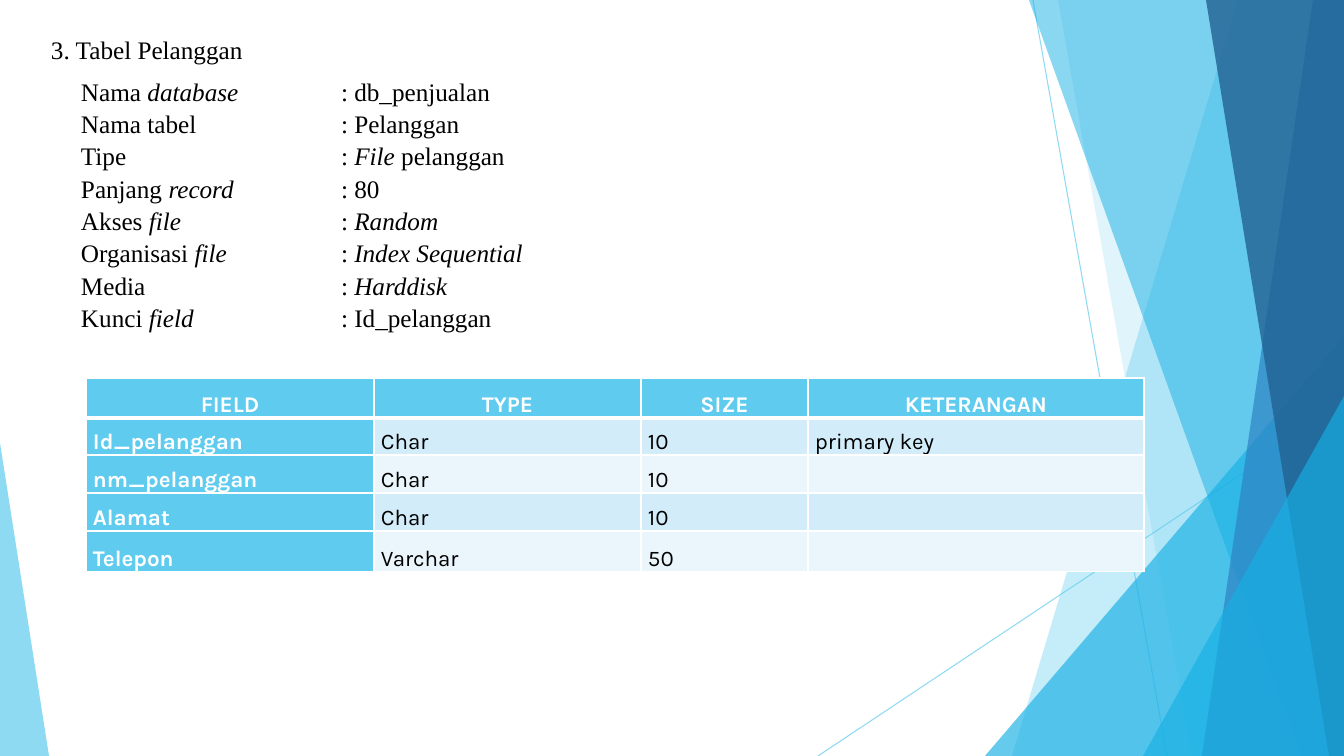
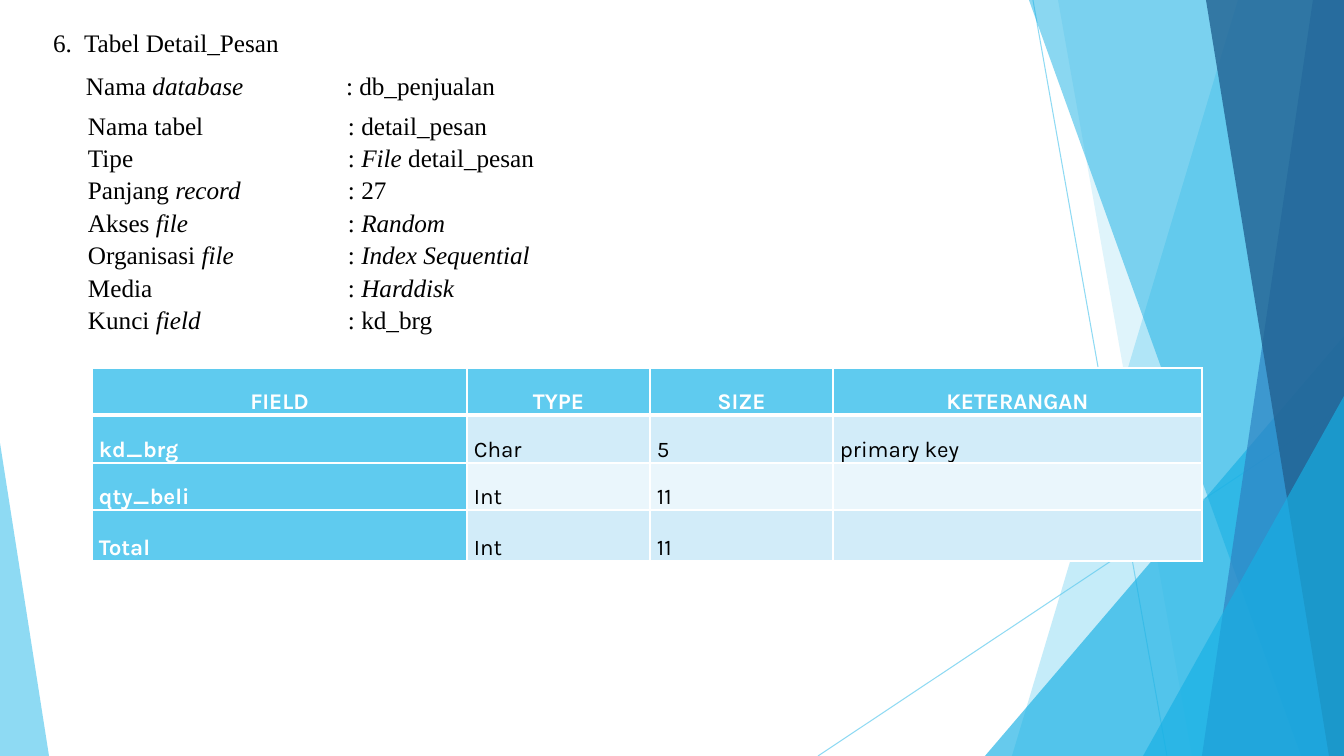
from lxml import etree
from pptx import Presentation
from pptx import util as u
from pptx.dml.color import RGBColor
from pptx.enum import shapes, text
from pptx.oxml.ns import qn

WIDTH, HEIGHT = 1344, 756
SCALE = u.Inches(7.5) / HEIGHT
SKY, CYAN, BLUE, NAVY = "5FCBEF", "17B0E4", "2E83C3", "226292"
BLACK, WHITE = "000000", "FFFFFF"
BANDS = ("D2ECF9", "EAF6FC")
HEADINGS = ("FIELD", "TYPE", "SIZE", "KETERANGAN")
COLON_TAB = 260
SERIF = {"font": "Times New Roman", "size": 18, "spacing": u.Pt(23.1)}
SANS = {"font": "Karla", "size": 16, "spacing": 1.07}


def px(length):
    return u.Emu(round(length * SCALE))


def box_of(*lengths):
    return [px(length) for length in lengths]


def colour(value):
    return RGBColor.from_string(value)


def add_child(parent, tag, **attributes):
    child = etree.SubElement(parent, qn(tag))
    for name, value in attributes.items():
        child.set(name, str(value))
    return child


def set_opacity(element, percent):
    for tint in element.iter(qn("a:srgbClr")):
        add_child(tint, "a:alpha", val=percent * 1000)


def write_text(para, content, font, size, spacing, ink=BLACK, bold=False,
               align=text.PP_ALIGN.LEFT, tab=None):
    para.alignment = align
    para.line_spacing = spacing
    if tab:
        stops = add_child(para._p.get_or_add_pPr(), "a:tabLst")
        add_child(stops, "a:tab", pos=px(tab), algn="l")
    for index, part in enumerate(content.split("*")):
        if part:
            span = para.add_run()
            span.text = part
            span.font.name = font
            span.font.size = u.Pt(size)
            span.font.bold = bold
            span.font.italic = index % 2 == 1
            span.font.color.rgb = colour(ink)


def prepare_frame(frame):
    frame.word_wrap = True
    frame.auto_size = text.MSO_AUTO_SIZE.NONE
    frame.vertical_anchor = text.MSO_ANCHOR.TOP
    frame.margin_left = frame.margin_right = 0
    frame.margin_top = frame.margin_bottom = 0


def paint(shape, fill, opacity):
    shape.shadow.inherit = False
    shape.fill.solid()
    shape.fill.fore_color.rgb = colour(fill)
    shape.line.fill.background()
    set_opacity(shape.element.spPr, opacity)


def draw_ray(group, start, end):
    ray = group.shapes.add_connector(shapes.MSO_CONNECTOR.STRAIGHT, *box_of(*start, *end))
    ray.line.color.rgb = colour(SKY)
    ray.line.width = u.Pt(0.75)
    set_opacity(ray.element.spPr, 70)
    add_child(ray.element.spPr, "a:effectLst")


def draw_band(group, top, bottom, fill, opacity):
    outline = group.shapes.build_freeform(top, 0, scale=SCALE)
    outline.add_line_segments([(WIDTH, 0), (WIDTH, HEIGHT), (bottom, HEIGHT)], close=True)
    paint(outline.convert_to_shape(), fill, opacity)


def draw_corner(group, left, top, width, apex, fill, opacity):
    corner = group.shapes.add_shape(
        shapes.MSO_SHAPE.ISOSCELES_TRIANGLE, *box_of(left, top, width, HEIGHT - top))
    corner.adjustments[0] = apex
    paint(corner, fill, opacity)


def build_backdrop(page, layout):
    group = page.shapes.add_group_shape()
    draw_ray(group, (1033, 0), (1167, HEIGHT))
    draw_ray(group, (WIDTH, 406), (818, HEIGHT))
    draw_band(group, 1238, 1012, SKY, 36)
    draw_band(group, 1058, 1192, SKY, 20)
    draw_corner(group, 985, 336, 359, 1, CYAN, 66)
    draw_band(group, 1029, 1301, CYAN, 50)
    draw_band(group, 1313, 1202, BLUE, 70)
    draw_band(group, 1206, 1329, NAVY, 80)
    draw_corner(group, 1143, 396, 201, 1, CYAN, 66)
    draw_corner(group, 0, 443, 49, 0, SKY, 70)
    for number, properties in enumerate(group.element.iter(qn("p:cNvPr")), 100):
        properties.set("id", str(number))
    layout.shapes.element.insert(2, group.element)


def place_title(page, content, left, top):
    title = page.shapes.title
    title.left, title.top, title.width, title.height = box_of(left, top, 652, 33)
    prepare_frame(title.text_frame)
    write_text(title.text_frame.paragraphs[0], content, **SERIF)


def place_facts(page, facts, left, top):
    box = page.shapes.add_textbox(*box_of(left, top, 582, 33 * len(facts)))
    prepare_frame(box.text_frame)
    for index, (label, value) in enumerate(facts):
        para = box.text_frame.add_paragraph() if index else box.text_frame.paragraphs[0]
        write_text(para, f"{label}\t: {value}", tab=COLON_TAB, **SERIF)


def set_borders(cell, top, bottom):
    properties = cell._tc.get_or_add_tcPr()
    for side, points in (("L", 1), ("R", 1), ("T", top), ("B", bottom)):
        border = add_child(properties, f"a:ln{side}", w=u.Pt(points))
        add_child(add_child(border, "a:solidFill"), "a:srgbClr", val=WHITE)


def fill_cell(cell, content, row, column):
    strong = row == 0 or column == 0
    set_borders(cell, 3 if row == 1 else 1, 3 if row == 0 else 1)
    cell.fill.solid()
    cell.fill.fore_color.rgb = colour(SKY if strong else BANDS[(row - 1) % 2])
    cell.vertical_anchor = text.MSO_ANCHOR.BOTTOM
    cell.margin_left = cell.margin_right = px(7)
    cell.margin_top = cell.margin_bottom = 0
    write_text(cell.text_frame.paragraphs[0], content, ink=WHITE if strong else BLACK,
               bold=strong, align=text.PP_ALIGN.LEFT if row else text.PP_ALIGN.CENTER, **SANS)


def place_fields(page, records, left, top, widths, heights):
    rows = [HEADINGS, *records]
    table = page.shapes.add_table(
        len(rows), len(HEADINGS), *box_of(left, top, sum(widths), sum(heights))).table
    for column, width in zip(table.columns, widths):
        column.width = px(width)
    for index, (row, height) in enumerate(zip(rows, heights)):
        table.rows[index].height = px(height)
        for column, content in enumerate(row):
            fill_cell(table.cell(index, column), content, index, column)


def list_facts(name, kind, length, key):
    return [
        ("Nama *database*", "db_penjualan"),
        ("Nama tabel", name),
        ("Tipe", f"*File* {kind}"),
        ("Panjang *record*", length),
        ("Akses *file*", "*Random*"),
        ("Organisasi *file*", "*Index Sequential*"),
        ("Media", "*Harddisk*"),
        ("Kunci *field*", key),
    ]


def build_customer_page(page):
    place_title(page, "3. Tabel Pelanggan", 51, 32)
    place_facts(page, list_facts("Pelanggan", "pelanggan", "80", "Id_pelanggan"), 81, 74)
    records = [
        ("Id_pelanggan", "Char", "10", "primary key"),
        ("nm_pelanggan", "Char", "10", ""),
        ("Alamat", "Char", "10", ""),
        ("Telepon", "Varchar", "50", ""),
    ]
    place_fields(page, records, 86, 378, (288, 267, 167, 336), (40, 37, 38, 38, 41))


def build_order_page(page):
    place_title(page, "6.  Tabel Detail_Pesan", 53, 25)
    facts = list_facts("detail_pesan", "detail_pesan", "27", "kd_brg")
    place_facts(page, facts[:1], 86, 68)
    place_facts(page, facts[1:], 88, 108)
    records = [
        ("kd_brg", "Char", "5", "primary key"),
        ("qty_beli", "Int", "11", ""),
        ("Total", "Int", "11", ""),
    ]
    place_fields(page, records, 92, 368, (375, 183, 183, 369), (47, 48, 47, 51))


def main():
    deck = Presentation()
    deck.slide_width, deck.slide_height = box_of(WIDTH, HEIGHT)
    layout = deck.slide_layouts[5]
    pages = [deck.slides.add_slide(layout) for _ in range(2)]
    build_backdrop(pages[0], layout)
    build_customer_page(pages[0])
    build_order_page(pages[1])
    deck.save("out.pptx")


if __name__ == "__main__":
    main()
